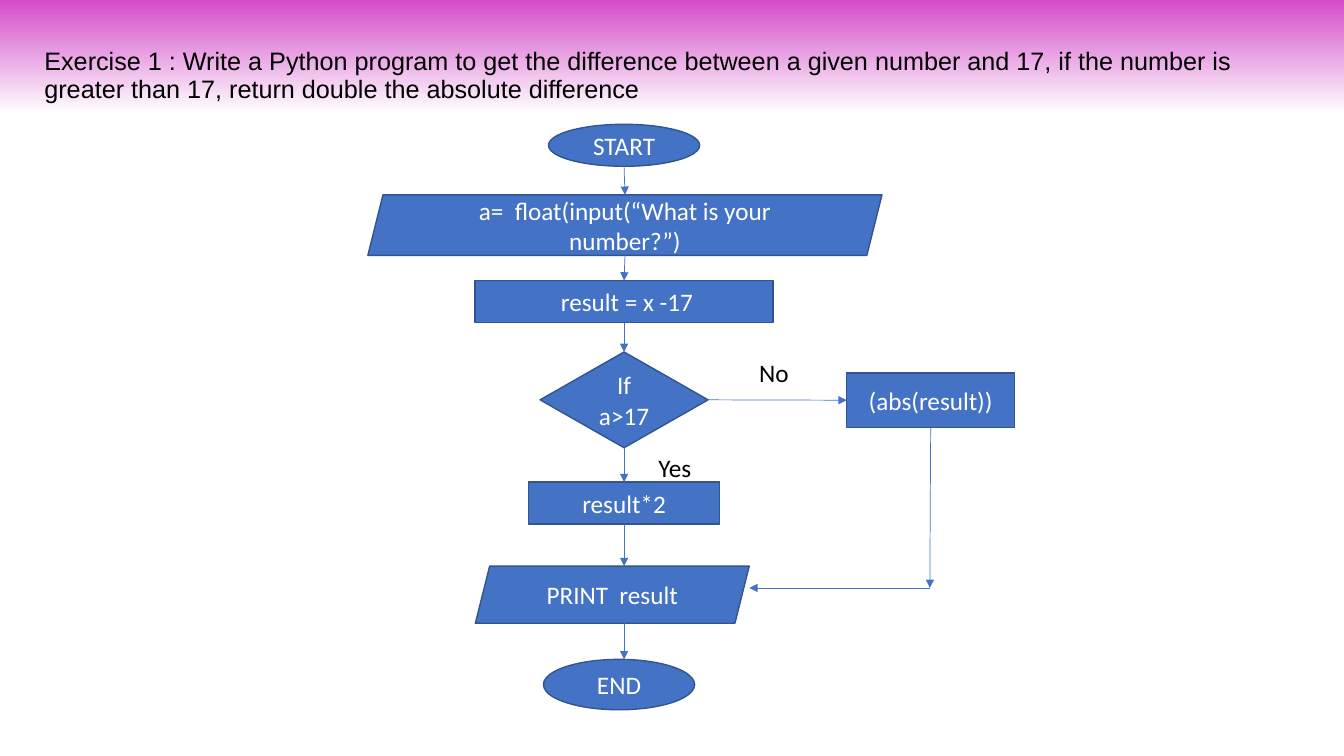
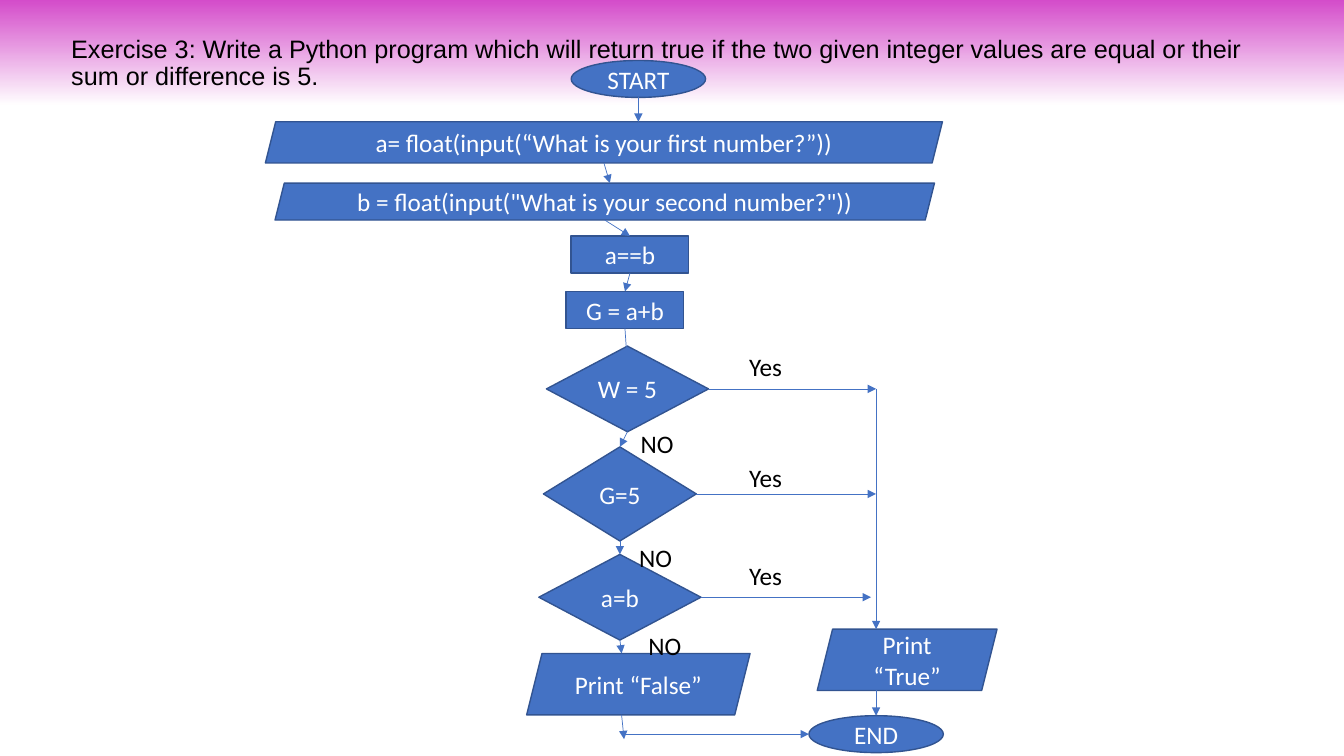
from dataclasses import dataclass
from itertools import pairwise

from lxml.etree import SubElement
from pptx import Presentation
from pptx.dml.color import RGBColor as Rgb
from pptx.enum.shapes import MSO_CONNECTOR as Line, MSO_SHAPE as Shape
from pptx.enum.text import MSO_ANCHOR as Anchor, PP_ALIGN as Align
from pptx.oxml.ns import qn
from pptx.util import Inches, Pt

COLUMNS, ROWS = 160, 90
CELL = Inches(1) // 12


@dataclass(frozen=True)
class Theme:
    """Colours, fonts and sizes shared by the slides."""
    band: Rgb = Rgb.from_string("D44CCA")
    paper: Rgb = Rgb.from_string("FFFFFF")
    ink: Rgb = Rgb.from_string("000000")
    node: Rgb = Rgb.from_string("4472C4")
    outline: Rgb = Rgb.from_string("325491")
    title_font: str = "Arial"
    body_font: str = "Calibri"
    size: Pt = Pt(18)
    node_line: Pt = Pt(1)
    arrow_line: Pt = Pt(0.5)


@dataclass(frozen=True)
class Box:
    """A region in grid cells."""
    left: float
    top: float
    width: float
    height: float

    @property
    def spine(self):
        """Return the column of the vertical centre line."""
        return self.left + self.width / 2

    def emu(self):
        """Return left, top, width and height as slide lengths."""
        return [cells(n) for n in (self.left, self.top, self.width, self.height)]


@dataclass(frozen=True)
class Node:
    """A flowchart step, centred at an offset from the spine."""
    kind: Shape
    text: str
    offset: float
    top: float
    width: float
    height: float
    enter: tuple = (0, 0)
    leave: float = 0

    def side(self, name, shift=0):
        """Return a point on the named side, moved along by shift."""
        half, middle = self.width / 2, self.top + self.height / 2
        return {
            "top": (self.offset + shift, self.top),
            "bottom": (self.offset + shift, self.top + self.height),
            "left": (self.offset - half, middle),
            "right": (self.offset + half, middle),
        }[name]


THEME = Theme()


def cells(count):
    """Convert grid cells to a slide length."""
    return round(count * CELL)


def write(frame, text, font, color, align=Align.LEFT, spacing=None):
    """Fill a text frame with evenly styled paragraphs."""
    frame.word_wrap = True
    frame.text = text
    for paragraph in frame.paragraphs:
        paragraph.alignment = align
        paragraph.line_spacing = spacing
        paragraph.font.name = font
        paragraph.font.size = THEME.size
        paragraph.font.color.rgb = color


def paint_background(slide, fade):
    """Fade the band colour into the paper colour from the top."""
    fill = slide.background.fill
    fill.gradient()
    fill.gradient_angle = 270
    stops = ((0, THEME.band), (fade, THEME.paper))
    for stop, (position, color) in zip(fill.gradient_stops, stops):
        stop.position = position
        stop.color.rgb = color


def add_title(slide, box, text):
    """Set the exercise text in its box."""
    frame = slide.shapes.add_textbox(*box.emu()).text_frame
    write(frame, text, THEME.title_font, THEME.ink, spacing=0.9)
    frame.vertical_anchor = Anchor.MIDDLE


def add_node(slide, box, node):
    """Draw one flowchart step."""
    place = Box(box.spine + node.offset - node.width / 2, box.top + node.top,
                node.width, node.height)
    step = slide.shapes.add_shape(node.kind, *place.emu())
    step.shadow.inherit = False
    step.fill.solid()
    step.fill.fore_color.rgb = THEME.node
    step.line.color.rgb = THEME.outline
    step.line.width = THEME.node_line
    write(step.text_frame, node.text, THEME.body_font, THEME.paper, Align.CENTER)
    step.text_frame.vertical_anchor = Anchor.MIDDLE


def add_arrow(slide, box, start, end):
    """Draw an arrow between two points measured from the spine."""
    ends = [cells(n) for x, y in (start, end) for n in (box.spine + x, box.top + y)]
    arrow = slide.shapes.add_connector(Line.STRAIGHT, *ends)
    arrow.line.color.rgb = THEME.node
    arrow.line.width = THEME.arrow_line
    SubElement(arrow.line._get_or_add_ln(), qn("a:tailEnd"), type="triangle")
    SubElement(arrow._element.spPr, qn("a:effectLst"))


def add_flowchart(slide, box, nodes, chain, branches, labels):
    """Draw the steps, the arrows down the chain, the branches and their labels."""
    for node in nodes.values():
        add_node(slide, box, node)
    for upper, lower in pairwise(nodes[key] for key in chain):
        shift, depth = lower.enter
        x, y = lower.side("top", shift)
        add_arrow(slide, box, upper.side("bottom", upper.leave), (x, y + depth))
    for start, end in branches:
        add_arrow(slide, box, start, end)
    for text, x, y in labels:
        place = Box(box.spine + x, box.top + y, 7, 4.8)
        frame = slide.shapes.add_textbox(*place.emu()).text_frame
        write(frame, text, THEME.body_font, THEME.ink)


def add_exercise(deck, fade, title_box, title, chart_box, *chart):
    """Add a slide with a title and a flowchart."""
    slide = deck.slides.add_slide(deck.slide_layouts[6])
    paint_background(slide, fade)
    add_title(slide, title_box, title)
    add_flowchart(slide, chart_box, *chart)


def add_difference(deck):
    """Add the exercise on the difference from 17."""
    nodes = {
        "start": Node(Shape.OVAL, "START", 0, 0, 18, 5),
        "ask": Node(Shape.PARALLELOGRAM, "a=  float(input(“What is your number?”)",
                    0.1, 8.4, 61.2, 7.2),
        "subtract": Node(Shape.FLOWCHART_PROCESS, " result = x -17", 0, 18.6, 35.5, 5),
        "test": Node(Shape.FLOWCHART_DECISION, "If\na>17", 0, 27.1, 20, 11.4),
        "absolute": Node(Shape.RECTANGLE, "(abs(result))", 36.5, 29.6, 20, 6.5),
        "double": Node(Shape.RECTANGLE, "result*2", 0, 42.6, 22.8, 5),
        "print": Node(Shape.PARALLELOGRAM, "PRINT  result", -1.4, 52.6, 32.6, 6.8,
                      enter=(1.4, 0), leave=1.4),
        "end": Node(Shape.OVAL, "END", -0.6, 63.7, 18, 6, enter=(0.6, 0)),
    }
    chain = ("start", "ask", "subtract", "test", "double", "print", "end")
    absolute, corner = nodes["absolute"], (36.4, 55.2)
    branches = (
        (nodes["test"].side("right"), absolute.side("left")),
        (absolute.side("bottom"), corner),
        (corner, (nodes["print"].side("right")[0], corner[1])),
    )
    labels = (("No", 14.9, 27.1), ("Yes", 2.9, 38.5))
    add_exercise(
        deck, 0.15, Box(4.1, 4.8, 150.6, 8.6),
        "Exercise 1 : Write a Python program to get the difference between a given "
        "number and 17, if the number is greater than 17, return double the absolute "
        "difference",
        Box(44.3, 14.8, 60, 70), nodes, chain, branches, labels)


def add_equality(deck):
    """Add the exercise on equal values and a sum or difference of 5."""
    nodes = {
        "start": Node(Shape.OVAL, "START", 1.6, 0, 16, 4.4),
        "first": Node(Shape.PARALLELOGRAM, "a= float(input(“What is your first number?”))",
                      -2.5, 7.3, 80.6, 4.9, enter=(4.1, 0)),
        "second": Node(Shape.PARALLELOGRAM,
                       'b = float(input("What is your second number?"))',
                       -2.4, 14.6, 78.5, 4.4, enter=(0.6, 0)),
        "compare": Node(Shape.RECTANGLE, "a==b", 0.6, 20.9, 14, 4.4),
        "add": Node(Shape.RECTANGLE, "G = a+b", 0, 27.5, 14, 4.4),
        "difference": Node(Shape.DIAMOND, "W = 5", 0.3, 34, 19.3, 10.2, enter=(0, 2.2)),
        "sum": Node(Shape.DIAMOND, "G=5", -0.6, 46, 18.2, 11.2),
        "equal": Node(Shape.DIAMOND, "a=b", -0.6, 58.8, 19.3, 10.2),
        "false": Node(Shape.PARALLELOGRAM, "Print “False”", 1.6, 70.6, 26.6, 7.3,
                      enter=(-2, 0)),
        "true": Node(Shape.PARALLELOGRAM, "Print “True”", 33.6, 67.7, 21.4, 7.3),
        "end": Node(Shape.OVAL, "END", 29.9, 78, 16, 4.4),
    }
    chain = ("start", "first", "second", "compare", "add",
             "difference", "sum", "equal", "false")
    end, true = nodes["end"], nodes["true"]
    rail = end.offset
    shift = rail - true.offset
    yes = [nodes[key].side("right") for key in ("difference", "sum", "equal")]
    stops = [(x, y) for x, (_, y) in zip((rail, rail, rail - 0.6), yes)]
    branches = (
        *zip(yes, stops),
        (stops[0], true.side("top", shift)),
        (true.side("bottom", shift), end.side("top")),
        (nodes["false"].side("bottom", -2), (-0.1, 80.8)),
        ((0, end.side("left")[1]), end.side("left")),
    )
    labels = (
        *(("Yes", 13.6, y) for y in (34, 47.2, 58.9)),
        ("NO", 0.7, 43.2), ("NO", 0.5, 56.8), ("NO", 1.6, 67.2),
    )
    add_exercise(
        deck, 0.14, Box(7.3, 2.2, 143.8, 10.8),
        "Exercise 3: Write a Python program which will return true if the two given "
        "integer values are equal or their sum or difference is 5.",
        Box(34.4, 7.2, 80, 82.4), nodes, chain, branches, labels)


def main():
    """Build and save the deck."""
    deck = Presentation()
    deck.slide_width, deck.slide_height = cells(COLUMNS), cells(ROWS)
    add_difference(deck)
    add_equality(deck)
    deck.save("out.pptx")


main()
